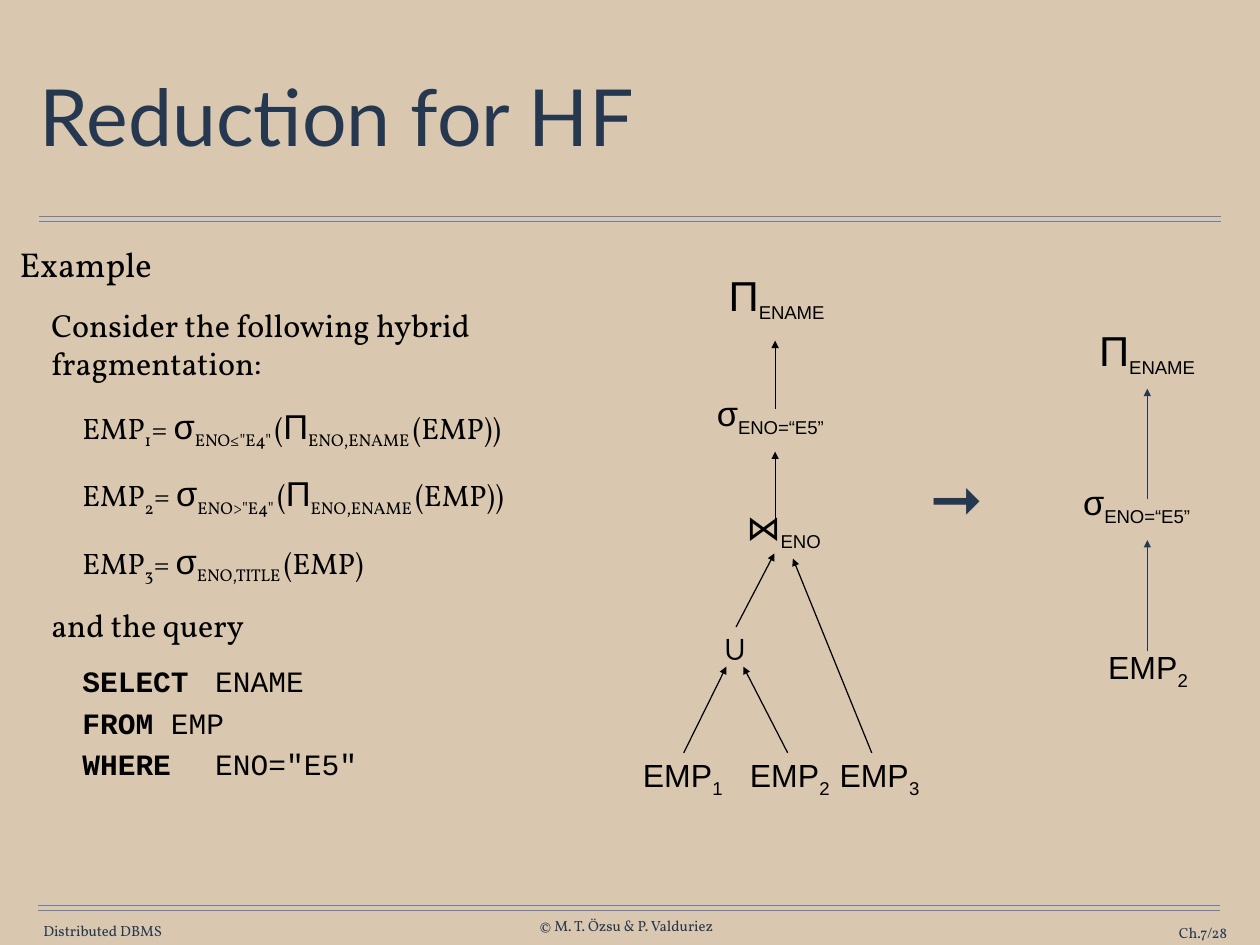
from collections import namedtuple

from lxml.etree import SubElement
from pptx import Presentation
from pptx.dml.color import RGBColor
from pptx.enum.shapes import MSO_CONNECTOR as Connector
from pptx.enum.text import MSO_ANCHOR as Anchor, MSO_AUTO_SIZE as AutoSize, PP_ALIGN as Align
from pptx.oxml.ns import qn
from pptx.util import Cm, Pt

Box = namedtuple("Box", "left top width height")

BLACK, NAVY, RULE, SAND = "000000", "263750", "6682AA", "D9C8AF"
SERIF, SANS, MONO, TITLE_FONT = "Vollkorn", "Arial", "Courier New", "Lato"
SYMBOL_FONTS = {"σ": SANS, "Π": SANS, "∪": SANS, "⋈": SERIF, "➞": SANS}

BODY_LINES = [
    (0, 28, SERIF, 65, "Example"),
    (1, 26, SERIF, 65, "Consider the following hybrid fragmentation:"),
    (2, 24, SERIF, 65, 'EMP|_1|= |σ|_ENO≤"E4" |(|Π|_ENO,ENAME |(EMP))'),
    (2, 24, SERIF, 65, 'EMP|_2|= |σ|_ENO>"E4" |(|Π|_ENO,ENAME |(EMP))'),
    (2, 24, SERIF, 65, "EMP|_3|= |σ|_ENO,TITLE |(EMP)"),
    (1, 26, SERIF, 65, "and the query"),
    (2, 24, MONO, 65, "*SELECT|\tENAME"),
    (2, 24, MONO, 20, "*FROM|\tEMP"),
    (2, 24, MONO, 20, '*WHERE\t|ENO="E5"'),
]
BODY_INDENTS = [0, 0.91, 1.8]
TAB_STOPS = [2.54, 5.08]

FULL_LABELS = [
    ("Π|_ENAME", 4.23, 0.9, 34),
    ("σ|_ENO=“E5”", 4.05, 4.31, 28),
    ("⋈|_ENO", 4.43, 7.58, 28),
    ("∪", 3.04, 10.96, 28),
    ("EMP|_1", 1.54, 14.71, 28),
    ("EMP|_2", 4.61, 14.71, 28),
    ("EMP|_3", 7.18, 14.71, 28),
]
FULL_ARROWS = [
    (1.57, 14, 2.79, 11.53),
    (4.55, 14, 3.28, 11.53),
    (3.07, 10.39, 4.17, 8.28),
    (6.96, 14, 4.7, 8.43),
    (4.19, 7.32, 4.19, 5.36),
    (4.19, 4.14, 4.19, 2.18),
]
REDUCED_LABELS = [
    ("Π|_ENAME", 2.4, 0.9, 34),
    ("σ|_ENO=“E5”", 2.1, 5.3, 28),
    ("EMP|_2", 2.43, 10.03, 28),
]
REDUCED_ARROWS = [(2.41, 9.5, 2.41, 6.32), (2.41, 5.13, 2.41, 1.98)]


def color(value):
    return RGBColor.from_string(value)


def format_run(run, size, font, fill=BLACK):
    run.font.size = Pt(size)
    run.font.name = font
    run.font.color.rgb = color(fill)


def write_runs(paragraph, markup, size, font, symbol_size=28, fill=BLACK):
    for part in markup.split("|"):
        run = paragraph.add_run()
        run.text = part.lstrip("_*")
        if part in SYMBOL_FONTS:
            format_run(run, symbol_size, SYMBOL_FONTS[part], fill)
        else:
            format_run(run, size, font, fill)
            run.font.bold = part.startswith("*")
        if part.startswith("_"):
            run._r.get_or_add_rPr().set("baseline", "-25000")


def place(shape, box):
    shape.left, shape.top, shape.width, shape.height = map(Cm, box)


def set_margins(text_frame, margin):
    text_frame.margin_left = text_frame.margin_right = Cm(margin)
    text_frame.margin_top = text_frame.margin_bottom = Cm(margin)


def add_text(slide, box, align):
    text_frame = slide.shapes.add_textbox(*map(Cm, box)).text_frame
    set_margins(text_frame, 0)
    text_frame.word_wrap = False
    text_frame.vertical_anchor = Anchor.MIDDLE
    text_frame.paragraphs[0].alignment = align
    return text_frame.paragraphs[0]


def add_line(slide, start_x, start_y, end_x, end_y, stroke, arrow=False):
    line = slide.shapes.add_connector(
        Connector.STRAIGHT, Cm(start_x), Cm(start_y), Cm(end_x), Cm(end_y))
    line.line.color.rgb = color(stroke)
    line.line.width = Pt(1)
    if arrow:
        SubElement(line.line._get_or_add_ln(), qn("a:tailEnd"), type="triangle")
    SubElement(line._element.spPr, qn("a:effectLst"))


def add_double_rule(slide, box):
    for top in (box.top, box.top + box.height):
        add_line(slide, box.left, top, box.left + box.width, top, RULE)


def fill_title(slide, box):
    title = slide.shapes.title
    place(title, box)
    text_frame = title.text_frame
    text_frame.text = "Reduction for HF"
    text_frame.auto_size = AutoSize.NONE
    text_frame.vertical_anchor = Anchor.MIDDLE
    set_margins(text_frame, 0.15)
    paragraph = text_frame.paragraphs[0]
    paragraph.alignment = Align.LEFT
    paragraph.line_spacing = 0.9
    format_run(paragraph.runs[0], 64, TITLE_FONT, NAVY)


def format_body_paragraph(paragraph, level, space_percent):
    paragraph.level = level
    properties = paragraph._p.get_or_add_pPr()
    properties.set("marL", str(Cm(BODY_INDENTS[level])))
    properties.set("indent", "0")
    space_before = SubElement(properties, qn("a:spcBef"))
    SubElement(space_before, qn("a:spcPct"), val=str(space_percent * 1000))
    SubElement(properties, qn("a:buNone"))
    tabs = SubElement(properties, qn("a:tabLst"))
    for stop in TAB_STOPS:
        SubElement(tabs, qn("a:tab"), pos=str(Cm(stop)), algn="l")


def fill_body(slide, box):
    body = slide.placeholders[1]
    place(body, box)
    text_frame = body.text_frame
    text_frame.auto_size = AutoSize.NONE
    set_margins(text_frame, 0.15)
    for index, (level, size, font, space_percent, markup) in enumerate(BODY_LINES):
        paragraph = text_frame.add_paragraph() if index else text_frame.paragraphs[0]
        format_body_paragraph(paragraph, level, space_percent)
        write_runs(paragraph, markup, size, font)


def add_label(slide, markup, center_x, center_y, symbol_size, fill=BLACK):
    box = Box(center_x - 2, center_y - 0.8, 4, 1.6)
    write_runs(add_text(slide, box, Align.CENTER), markup, 26, SANS, symbol_size, fill)


def add_query_tree(slide, box, labels, arrows, stroke):
    for start_x, start_y, end_x, end_y in arrows:
        add_line(slide, box.left + start_x, box.top + start_y,
                 box.left + end_x, box.top + end_y, stroke, arrow=True)
    for markup, center_x, center_y, symbol_size in labels:
        add_label(slide, markup, box.left + center_x, box.top + center_y, symbol_size)


def add_footer(slide, box):
    add_double_rule(slide, Box(box.left, box.top, box.width, 0.15))
    entries = [
        ("Distributed DBMS", 0.1, 0.48, 3.51, Align.CENTER),
        ("© M. T. Özsu & P. Valduriez", 14.23, 0.33, 5.28, Align.CENTER),
        ("Ch.7/28", 30.18, 0.53, 3.91, Align.RIGHT),
    ]
    for text, left, top, width, align in entries:
        paragraph = add_text(slide, Box(box.left + left, box.top + top, width, 0.51), align)
        paragraph.text = text
        format_run(paragraph.runs[0], 12, SERIF, NAVY)


presentation = Presentation()
presentation.slide_width, presentation.slide_height = Cm(36.12), Cm(27.1)
slide = presentation.slides.add_slide(presentation.slide_layouts[1])
slide.background.fill.solid()
slide.background.fill.fore_color.rgb = color(SAND)

add_double_rule(slide, Box(1.12, 6.2, 33.88, 0.15))
add_footer(slide, Box(1.09, 25.96, 33.88, 1.1))
fill_title(slide, Box(0.99, 1.24, 34.14, 4.47))
fill_body(slide, Box(0.41, 6.83, 18.06, 17.32))
add_query_tree(slide, Box(18.03, 7.59, 8.71, 15.44), FULL_LABELS, FULL_ARROWS, BLACK)
add_label(slide, "➞", 27.44, 14.25, 51, NAVY)
add_query_tree(slide, Box(30.48, 9.17, 4.32, 10.77), REDUCED_LABELS, REDUCED_ARROWS, NAVY)
presentation.save("out.pptx")
